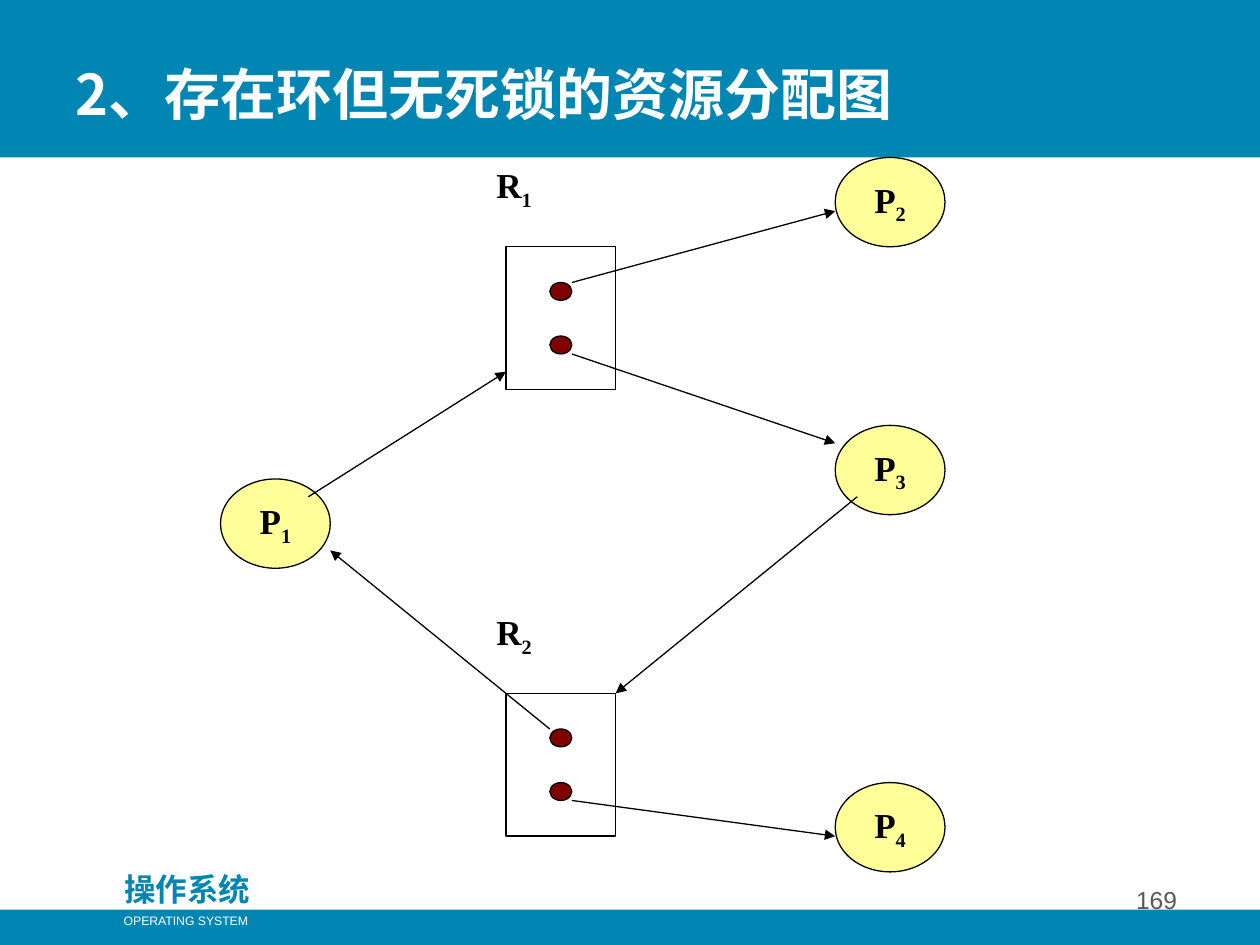
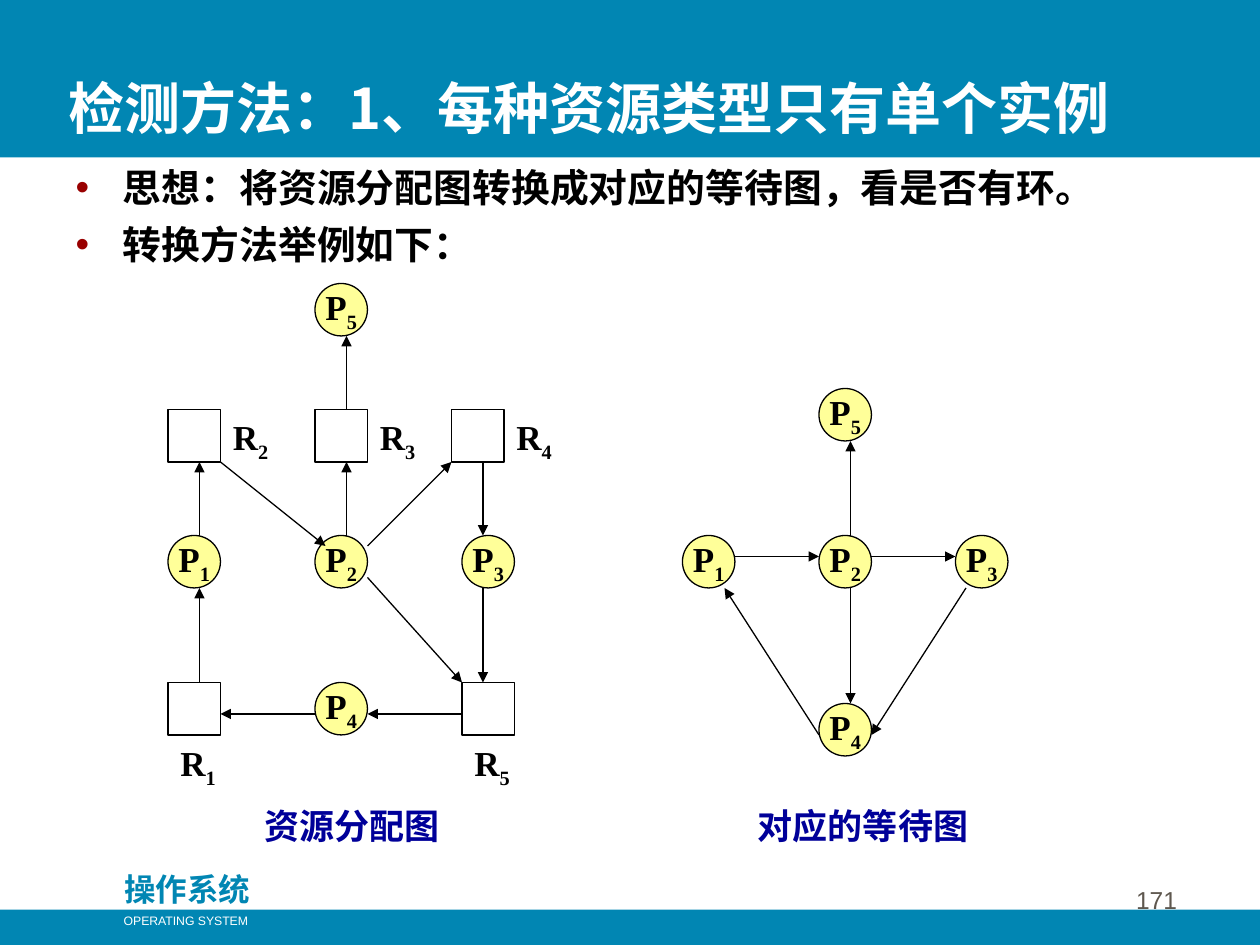
from typing import NamedTuple

from lxml.etree import SubElement
from pptx import Presentation
from pptx.dml.color import RGBColor
from pptx.enum.shapes import MSO_CONNECTOR as Connector, MSO_SHAPE as Preset
from pptx.enum.text import MSO_ANCHOR as Anchor, MSO_AUTO_SIZE as AutoSize, PP_ALIGN as Align
from pptx.oxml.ns import qn
from pptx.util import Inches, Pt

TEAL = RGBColor(0x01, 0x86, 0xB3)
WHITE = RGBColor(0xFF, 0xFF, 0xFF)
BLACK = RGBColor(0x00, 0x00, 0x00)
YELLOW = RGBColor(0xFF, 0xFF, 0x99)
MAROON = RGBColor(0x80, 0x00, 0x00)
BULLET_RED = RGBColor(0x99, 0x00, 0x00)
NAVY = RGBColor(0x00, 0x00, 0x99)
GREY = RGBColor(0x5E, 0x57, 0x4E)

CJK, SERIF, SANS = "Noto Sans CJK SC", "Times New Roman", "Arial"


class Style(NamedTuple):
    """Character format of a run."""
    font: str
    size: float
    color: RGBColor
    bold: bool = True


TITLE = Style(CJK, 32, WHITE)
LIST = Style(CJK, 22.2, BLACK)
COURSE = Style(CJK, 18, TEAL)
COURSE_ENGLISH = Style(SANS, 7, WHITE, False)
PAGE_NUMBER = Style(SANS, 14, GREY, False)
NODE = Style(SERIF, 20, BLACK)
CAPTION = Style(SERIF, 20, NAVY)


class Box(NamedTuple):
    """Left, top, width and height, in grid units or inches."""
    left: float
    top: float
    width: float
    height: float


class Grid(NamedTuple):
    """Origin and cell size of a drawing grid, in inches."""
    left: float
    top: float
    column: float
    row: float

    def point(self, column: float, row: float) -> tuple[float, float]:
        """Return the place of a grid crossing in inches."""
        return self.left + column * self.column, self.top + row * self.row

    def box(self, cells: Box) -> Box:
        """Return a box of cells in inches."""
        return Box(*self.point(cells.left, cells.top),
                   cells.width * self.column, cells.height * self.row)


class Node(NamedTuple):
    """A process or resource with its name and grid position."""
    name: str
    column: float
    row: float


class Arrow(NamedTuple):
    """A directed edge between two grid crossings."""
    start: tuple[float, float]
    end: tuple[float, float]


PAGE = Grid(0, 0, 1, 1)
ALLOCATION = Grid(1.75, 1.25, 5.75 / 33, 5.67 / 40)
TWELFTHS = Grid(0, 0, 1 / 12, 1 / 12)

CYCLE_PROCESSES = [Node("P1", 0, 18), Node("P2", 28, 0), Node("P3", 28, 15), Node("P4", 28, 35)]
CYCLE_RESOURCES = [Node("R1", 13, 5), Node("R2", 13, 30)]
CYCLE_ARROWS = [
    Arrow((15, 32), (5, 22)), Arrow((4, 19), (13, 12)), Arrow((16, 7), (28, 3)),
    Arrow((16, 11), (28, 16)), Arrow((16, 36), (28, 38)), Arrow((29, 19), (18, 30)),
]

DETECTION_PROCESSES = [
    Node("P1", 16, 51), Node("P2", 30, 51), Node("P4", 30, 65), Node("P3", 44, 51), Node("P5", 30, 27),
    Node("P4", 78, 67), Node("P5", 78, 37), Node("P3", 91, 51), Node("P2", 78, 51), Node("P1", 65, 51),
]
LOWER_RESOURCES = [Node("R1", 16, 65), Node("R5", 44, 65)]
UPPER_RESOURCES = [Node("R2", 16, 39), Node("R3", 30, 39), Node("R4", 43, 39)]
DETECTION_ARROWS = [
    Arrow((70, 53), (78, 53)), Arrow((83, 53), (91, 53)), Arrow((92, 56), (83, 70)),
    Arrow((78, 70), (69, 56)), Arrow((81, 51), (81, 42)), Arrow((81, 56), (81, 67)),
    Arrow((19, 65), (19, 56)), Arrow((19, 51), (19, 44)), Arrow((30, 68), (21, 68)),
    Arrow((44, 68), (35, 68)), Arrow((46, 44), (46, 51)), Arrow((46, 56), (46, 65)),
    Arrow((33, 51), (33, 44)), Arrow((33, 39), (33, 32)), Arrow((21, 44), (31, 52)),
    Arrow((35, 52), (43, 44)), Arrow((35, 55), (44, 65)),
]


def add_run(paragraph, text: str, style: Style):
    """Add a formatted run and return it."""
    run = paragraph.add_run()
    run.text = text
    values = {"name": style.font, "size": Pt(style.size), "bold": style.bold}
    for key, value in values.items():
        setattr(run.font, key, value)
    run.font.color.rgb = style.color
    SubElement(run.font._element, qn("a:ea")).set("typeface", CJK)
    return run


def set_frame(shape, **values) -> None:
    """Apply text frame settings."""
    for key, value in values.items():
        setattr(shape.text_frame, key, value)


def place(shape, box: Box) -> None:
    """Move and size a shape in inches."""
    for key, value in box._asdict().items():
        setattr(shape, key, Inches(value))


def add_text(slide, box: Box, text: str, style: Style, align=Align.LEFT, anchor=Anchor.TOP, wrap=True):
    """Add a text box of one line."""
    shape = slide.shapes.add_textbox(*map(Inches, box))
    set_frame(shape, word_wrap=wrap, vertical_anchor=anchor)
    paragraph = shape.text_frame.paragraphs[0]
    paragraph.alignment = align
    add_run(paragraph, text, style)
    return shape


def add_name(shape, name: str, align) -> None:
    """Write a node name with its number as a subscript."""
    paragraph = shape.text_frame.paragraphs[0]
    paragraph.alignment = align
    add_run(paragraph, name[0], NODE)
    add_run(paragraph, name[1:], NODE).font._element.set("baseline", "-25000")


def add_preset(slide, preset, box: Box, fill=None, line=BLACK):
    """Add a preset shape with a plain fill and a thin outline."""
    shape = slide.shapes.add_shape(preset, *map(Inches, box))
    shape.shadow.inherit = False
    if fill is None:
        shape.fill.background()
    else:
        shape.fill.solid()
        shape.fill.fore_color.rgb = fill
    if line is None:
        shape.line.fill.background()
    else:
        shape.line.color.rgb = line
        shape.line.width = Pt(0.75)
    return shape


def add_process(slide, grid: Grid, node: Node) -> None:
    """Draw a process as a named ellipse of five by five cells."""
    shape = add_preset(slide, Preset.OVAL, grid.box(Box(node.column, node.row, 5, 5)), YELLOW)
    set_frame(shape, word_wrap=False, vertical_anchor=Anchor.MIDDLE)
    add_name(shape, node.name, Align.CENTER)


def add_label(slide, corner: tuple[float, float], width: float, name: str) -> None:
    """Write the name of a resource beside its box."""
    shape = slide.shapes.add_textbox(*map(Inches, (*corner, width, 0.48)))
    set_frame(shape, word_wrap=True)
    add_name(shape, name, Align.LEFT)


def add_arrow(slide, grid: Grid, arrow: Arrow) -> None:
    """Draw an edge with a triangle at its end."""
    ends = map(Inches, (*grid.point(*arrow.start), *grid.point(*arrow.end)))
    connector = slide.shapes.add_connector(Connector.STRAIGHT, *ends)
    connector.line.color.rgb = BLACK
    connector.line.width = Pt(0.75)
    SubElement(connector.line._get_or_add_ln(), qn("a:tailEnd")).set("type", "triangle")
    SubElement(connector._element.spPr, qn("a:effectLst"))


def build_master(presentation, slide) -> None:
    """Draw the bands and course name and move them to the master."""
    parts = [
        add_preset(slide, Preset.RECTANGLE, Box(0, 0, 10, 1.25), TEAL, None),
        add_preset(slide, Preset.RECTANGLE, Box(0, 7.22, 10, 0.28), TEAL, None),
        add_text(slide, Box(0.83, 6.86, 1.31, 0.4), "操作系统", COURSE, Align.CENTER),
        add_text(slide, Box(0.88, 7.2, 1.19, 0.22), "OPERATING SYSTEM", COURSE_ENGLISH,
                 Align.CENTER, wrap=False),
    ]
    tree = presentation.slide_master.shapes.element
    for index, part in enumerate(parts):
        part.element.xpath(".//p:cNvPr")[0].set("id", str(100 + index))
        tree.insert(2 + index, part.element)


def start_slide(presentation, layout: int, title: str, box: Box, anchor, number: int):
    """Add a slide with its title and page number."""
    slide = presentation.slides.add_slide(presentation.slide_layouts[layout])
    shape = slide.shapes.title
    place(shape, box)
    set_frame(shape, vertical_anchor=anchor, auto_size=AutoSize.NONE, word_wrap=True)
    paragraph = shape.text_frame.paragraphs[0]
    paragraph.alignment = Align.LEFT
    add_run(paragraph, title, TITLE)
    add_text(slide, Box(7.36, 6.81, 2.08, 0.5), str(number), PAGE_NUMBER, Align.RIGHT, Anchor.BOTTOM)
    return slide


def fill_list(shape, box: Box, items: list[str]) -> None:
    """Write a bulleted list in the body placeholder."""
    place(shape, box)
    set_frame(shape, auto_size=AutoSize.NONE)
    for index, item in enumerate(items):
        paragraph = shape.text_frame.add_paragraph() if index else shape.text_frame.paragraphs[0]
        paragraph.space_before = Pt(6 if index else 0)
        bullet_color = SubElement(paragraph._p.get_or_add_pPr(), qn("a:buClr"))
        SubElement(bullet_color, qn("a:srgbClr")).set("val", str(BULLET_RED))
        add_run(paragraph, item, LIST)


def build_cycle_slide(presentation):
    """Draw the allocation graph with a cycle and no deadlock."""
    slide = start_slide(presentation, 5, "2、存在环但无死锁的资源分配图",
                        Box(0.5, 0.42, 7.92, 0.64), Anchor.TOP, 169)
    grid = ALLOCATION
    for node in CYCLE_PROCESSES:
        add_process(slide, grid, node)
    for name, column, row in CYCLE_RESOURCES:
        add_preset(slide, Preset.RECTANGLE, grid.box(Box(column, row, 5, 8)))
        add_label(slide, grid.point(column - 1, row - 5), 1.05, name)
        for offset in (2, 5):
            add_preset(slide, Preset.OVAL, grid.box(Box(column + 2, row + offset, 1, 1)), MAROON)
    for arrow in CYCLE_ARROWS:
        add_arrow(slide, grid, arrow)
    return slide


def build_detection_slide(presentation) -> None:
    """Draw an allocation graph and its wait-for graph."""
    slide = start_slide(presentation, 1, "检测方法：1、每种资源类型只有单个实例",
                        Box(0.44, 0.42, 8.97, 0.75), Anchor.BOTTOM, 171)
    fill_list(slide.placeholders[1], Box(0.5, 1.25, 9.17, 0.92),
              ["思想：将资源分配图转换成对应的等待图，看是否有环。", "转换方法举例如下："])
    grid = TWELFTHS
    for node in DETECTION_PROCESSES:
        add_process(slide, grid, node)
    for resources, right, down in ((LOWER_RESOURCES, 0, 5), (UPPER_RESOURCES, 5, 0)):
        for name, column, row in resources:
            add_preset(slide, Preset.RECTANGLE, grid.box(Box(column, row, 5, 5)))
            add_label(slide, grid.point(column + right, row + down), 0.5, name)
    for arrow in DETECTION_ARROWS:
        add_arrow(slide, grid, arrow)
    for column, caption in ((24, "资源分配图"), (71, "对应的等待图")):
        add_text(slide, grid.box(Box(column, 76, 23, 5.25)), caption, CAPTION)


def main() -> None:
    """Build and save the two slides."""
    presentation = Presentation()
    presentation.slide_width, presentation.slide_height = map(Inches, PAGE.point(10, 7.5))
    cycle_slide = build_cycle_slide(presentation)
    build_master(presentation, cycle_slide)
    build_detection_slide(presentation)
    presentation.save("out.pptx")


if __name__ == "__main__":
    main()
